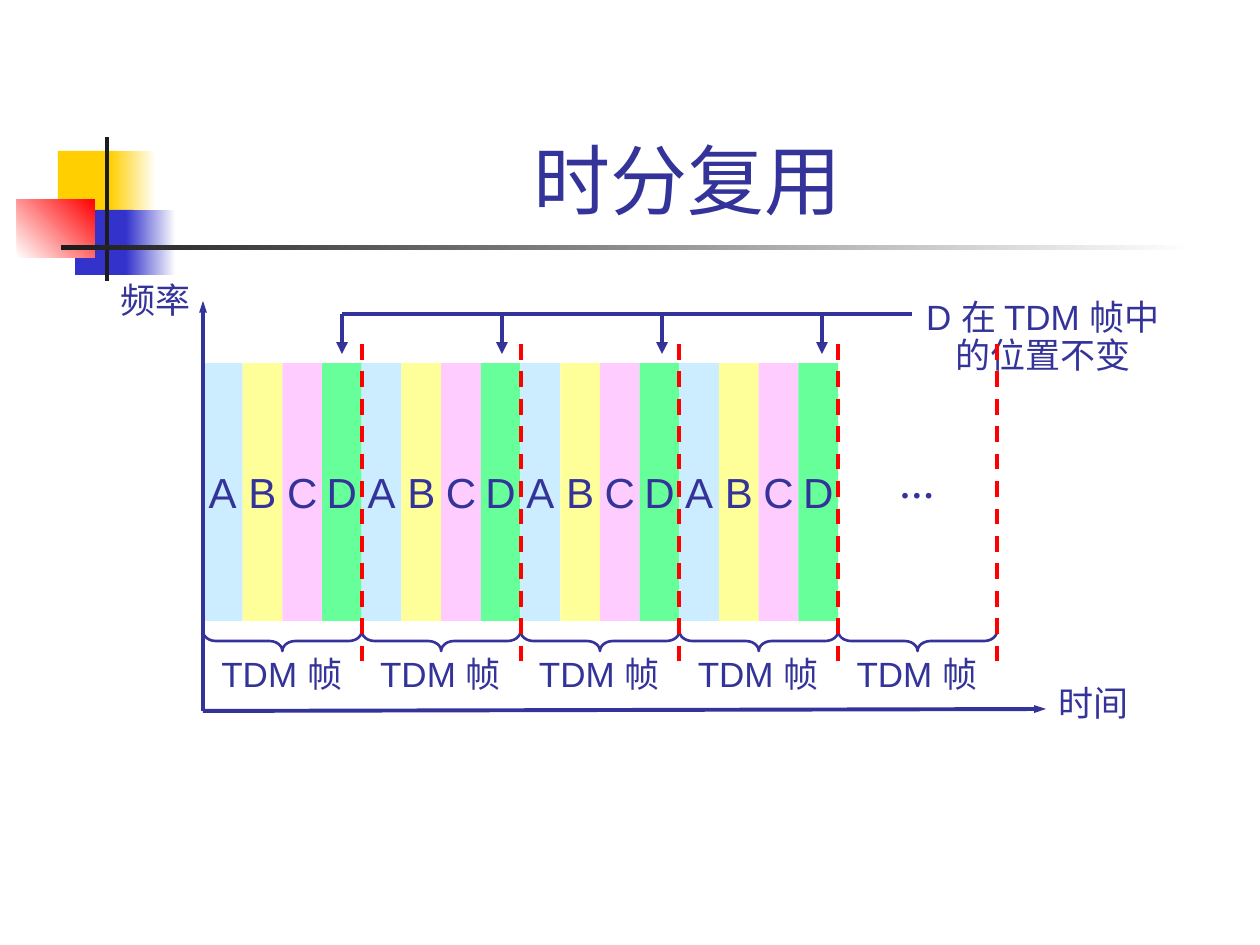
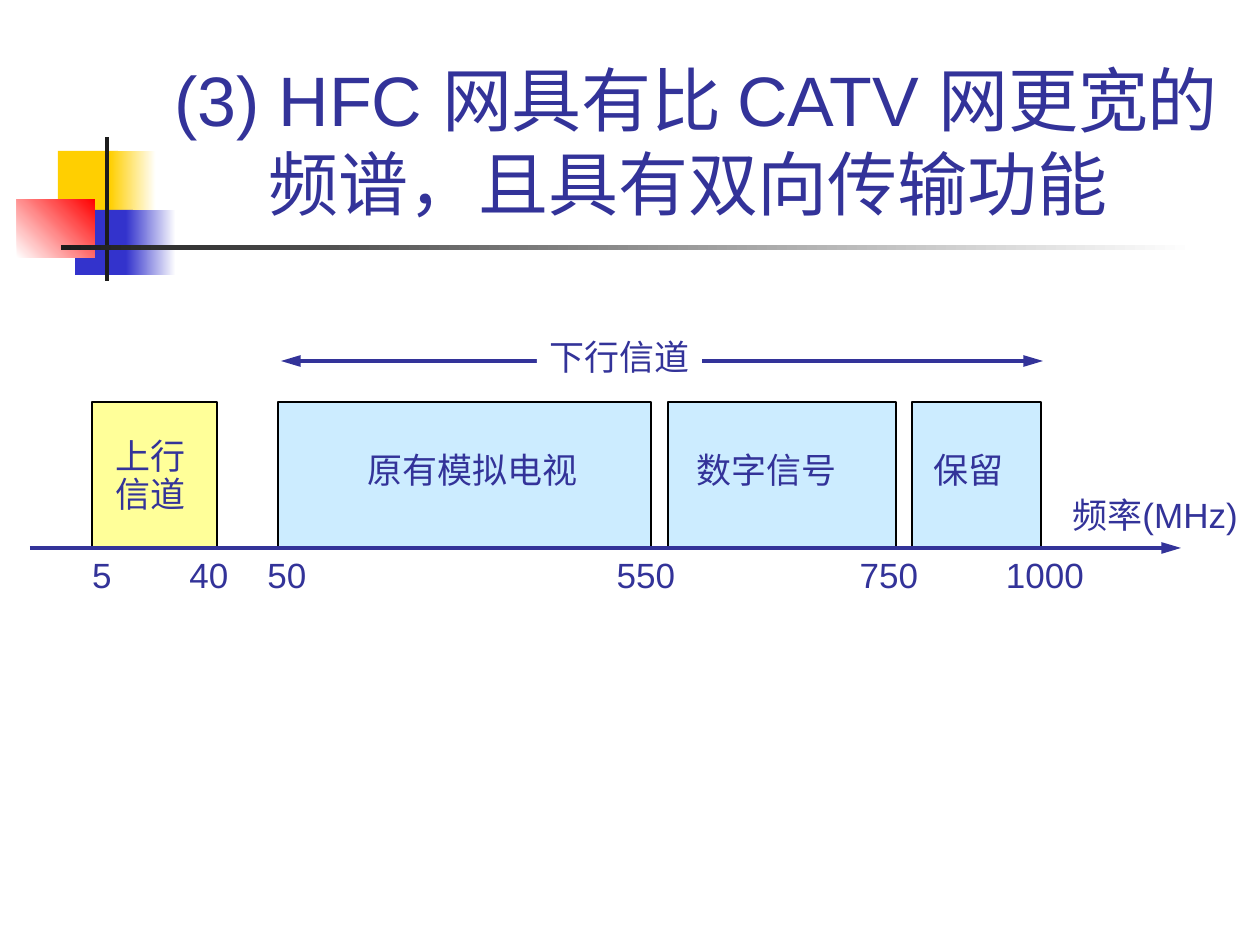
from lxml import etree
from pptx import Presentation
from pptx import util as u
from pptx.dml.color import RGBColor
from pptx.enum import dml, shapes, text
from pptx.oxml import ns

NAVY = RGBColor(0x33, 0x33, 0x99)
BLUE = RGBColor(0x33, 0x33, 0xCC)
GOLD = RGBColor(0xFF, 0xCF, 0x01)
RED = RGBColor(0xFF, 0x00, 0x00)
INK = RGBColor(0x1C, 0x1C, 0x1C)
BLACK = RGBColor(0x00, 0x00, 0x00)
WHITE = RGBColor(0xFF, 0xFF, 0xFF)
SKY = RGBColor(0xCC, 0xEC, 0xFF)
YELLOW = RGBColor(0xFF, 0xFF, 0x99)
PINK = RGBColor(0xFF, 0xCC, 0xFF)
GREEN = RGBColor(0x66, 0xFF, 0x99)

EMU_PER_PX = 914400 / 126
PAGE_SIZE = (1260, 945)
SANS, SERIF = "Arial", "Times New Roman"
LEFT, CENTER = text.PP_ALIGN.LEFT, text.PP_ALIGN.CENTER
RECT = shapes.MSO_SHAPE.RECTANGLE

TITLE_AREA = (159, 29, 1074, 202)
ORNAMENTS = [
    ((58, 151, 60, 66), GOLD, None, 0),
    ((110, 151, 46, 66), GOLD, WHITE, 0),
    ((75, 210, 58, 65), BLUE, None, 0),
    ((126, 210, 50, 65), BLUE, WHITE, 0),
    ((17, 199, 78, 59), WHITE, RED, 45),
    ((105, 137, 4, 144), INK, None, 0),
    ((61, 245, 1134, 5), INK, WHITE, 0),
]

TDM_TITLE = "时分复用 "
USERS = [("A", SKY), ("B", YELLOW), ("C", PINK), ("D", GREEN)]
FRAME_COUNT, FILLED_FRAMES = 5, 4
FRAME_LEFT, FRAME_RIGHT = 203, 997
SLOT_TOP, SLOT_HEIGHT = 363, 258
FRAME_LABEL = "TDM 帧"
POINTER_TOP, POINTER_TIP = 314, 354
POINTER_START, POINTER_STEP = 342, 160
TDM_LABELS = [
    (["频率"], (108, 277, 95, 50), SERIF, LEFT),
    (["时间"], (1046, 680, 95, 50), SERIF, LEFT),
    (["D 在 TDM 帧中", "的位置不变"], (893, 294, 300, 88), SANS, CENTER),
]

HFC_TITLE = "(3) HFC 网具有比 CATV 网更宽的频谱，且具有双向传输功能 "
BAND_TOP, BAND_HEIGHT = 402, 146
BANDS = [
    (92, 125, YELLOW, ["上行", "信道"], (103, 433, 100, 88), 0.9),
    (278, 373, SKY, ["原有模拟电视"], (355, 442, 250, 55), 1.0),
    (668, 228, SKY, ["数字信号"], (684, 442, 190, 55), 1.0),
    (912, 129, SKY, ["保留"], (921, 442, 100, 55), 1.0),
]
TICK_WIDTH = 140
FREQUENCIES = [("5", 102), ("40", 209), ("50", 287),
               ("550", 646), ("750", 889), ("1000", 1045)]


def px(value):
    return u.Emu(round(value * EMU_PER_PX))


def apply(target, values):
    for name, value in values.items():
        setattr(target, name, value)


def write(box, lines, size=20, font=SANS, align=LEFT, spacing=1.0,
          bold=False, **frame_values):
    frame = box.text_frame
    apply(frame, {"word_wrap": False, **frame_values})
    for index, line in enumerate(lines):
        para = frame.add_paragraph() if index else frame.paragraphs[0]
        apply(para, {"alignment": align, "line_spacing": spacing})
        span = para.add_run()
        span.text = line
        apply(span.font, {"name": font, "size": u.Pt(size), "bold": bold})
        span.font.color.rgb = NAVY


def label(page, lines, area, align=LEFT, **values):
    box = page.shapes.add_textbox(*map(px, area))
    right = u.Inches(0.1) if align == CENTER else 0
    write(box, lines, align=align, word_wrap=True, margin_right=right, **values)


def block(page, area, color, fade=None, angle=0, outline=None):
    shape = page.shapes.add_shape(RECT, *map(px, area))
    shape.shadow.inherit = False
    if fade is None:
        shape.fill.solid()
        shape.fill.fore_color.rgb = color
    else:
        shape.fill.gradient()
        shape.fill.gradient_angle = angle
        for stop, stop_color in zip(shape.fill.gradient_stops, (color, fade)):
            stop.color.rgb = stop_color
    if outline is None:
        shape.line.fill.background()
    else:
        shape.line.color.rgb = outline
        shape.line.width = u.Pt(0.75)
    return shape


def rule(page, start, end, color=NAVY, dash=None, ends=(), head=("med", "med")):
    line = page.shapes.add_connector(
        shapes.MSO_CONNECTOR.STRAIGHT, *map(px, (*start, *end)))
    line.line.color.rgb = color
    apply(line.line, {"width": u.Pt(2.25), "dash_style": dash})
    outline = line.line._get_or_add_ln()
    for end_name in ends:
        etree.SubElement(outline, ns.qn("a:" + end_name),
                         type="triangle", w=head[0], len=head[1])
    etree.SubElement(line._element.spPr, ns.qn("a:effectLst"))


def brace(page, left, width, top, depth):
    middle_x, middle_y = left + width / 2, top + depth / 2
    area = (middle_x - depth / 2, middle_y - width / 2, depth, width)
    shape = page.shapes.add_shape(shapes.MSO_SHAPE.LEFT_BRACE, *map(px, area))
    shape.rotation = 270
    shape.adjustments[0] = 0.65
    shape.shadow.inherit = False
    shape.fill.background()
    shape.line.color.rgb = NAVY
    shape.line.width = u.Pt(1.5)


def start_page(deck, title, size):
    page = deck.slides.add_slide(deck.slide_layouts[6])
    for area, color, fade, angle in ORNAMENTS:
        block(page, area, color, fade, angle)
    box = page.shapes.add_textbox(*map(px, TITLE_AREA))
    write(box, [title], size=size, align=CENTER, word_wrap=True,
          vertical_anchor=text.MSO_ANCHOR.BOTTOM)
    return page


def build_tdm(deck):
    page = start_page(deck, TDM_TITLE, 44)
    frame_width = (FRAME_RIGHT - FRAME_LEFT) / FRAME_COUNT
    slot_width = frame_width / len(USERS)
    frame_lefts = [FRAME_LEFT + i * frame_width for i in range(FRAME_COUNT)]
    axis_head = ("sm", "med")

    rule(page, (203, 711), (1046, 709), ends=["tailEnd"], head=axis_head)
    for left in frame_lefts[:FILLED_FRAMES]:
        for index, (user, color) in enumerate(USERS):
            slot = block(page, (left + index * slot_width, SLOT_TOP,
                                slot_width, SLOT_HEIGHT), color)
            write(slot, [user], size=24, align=CENTER,
                  vertical_anchor=text.MSO_ANCHOR.MIDDLE)
    for lines, area, font, align in TDM_LABELS:
        label(page, lines, area, font=font, align=align, spacing=0.9)

    rule(page, (POINTER_START, POINTER_TOP), (912, POINTER_TOP))
    for index in range(FILLED_FRAMES):
        x = POINTER_START + index * POINTER_STEP
        rule(page, (x, POINTER_TOP), (x, POINTER_TIP), ends=["tailEnd"])

    label(page, ["…"], (887, 457, 60, 54), font=SERIF, bold=True)
    rule(page, (203, 711), (203, 301), ends=["tailEnd"], head=axis_head)
    for left in frame_lefts:
        label(page, [FRAME_LABEL], (left + 6, 651, 154, 50), spacing=0.9)
        brace(page, left, frame_width, 631, 20)
    for left in frame_lefts:
        x = left + frame_width
        rule(page, (x, 344), (x, 670), color=RED, dash=dml.MSO_LINE.DASH)


def build_hfc(deck):
    page = start_page(deck, HFC_TITLE, 40)
    long_head = ("med", "lg")
    rule(page, (281, 361), (1043, 361), ends=["headEnd", "tailEnd"],
         head=long_head)
    write(block(page, (537, 329, 165, 55), WHITE), ["下行信道"],
          vertical_anchor=text.MSO_ANCHOR.TOP)
    for left, width, color, lines, area, spacing in BANDS:
        block(page, (left, BAND_TOP, width, BAND_HEIGHT), color, outline=BLACK)
        label(page, lines, area, spacing=spacing)
    for value, center in FREQUENCIES:
        area = (center - TICK_WIDTH / 2, 547, TICK_WIDTH, 55)
        label(page, [value], area, align=CENTER)
    label(page, ["频率(MHz)"], (1060, 487, 200, 55))
    axis_y = BAND_TOP + BAND_HEIGHT
    rule(page, (30, axis_y), (1181, axis_y), ends=["tailEnd"], head=long_head)


def main():
    deck = Presentation()
    deck.slide_width, deck.slide_height = map(px, PAGE_SIZE)
    build_tdm(deck)
    build_hfc(deck)
    deck.save("out.pptx")


if __name__ == "__main__":
    main()
